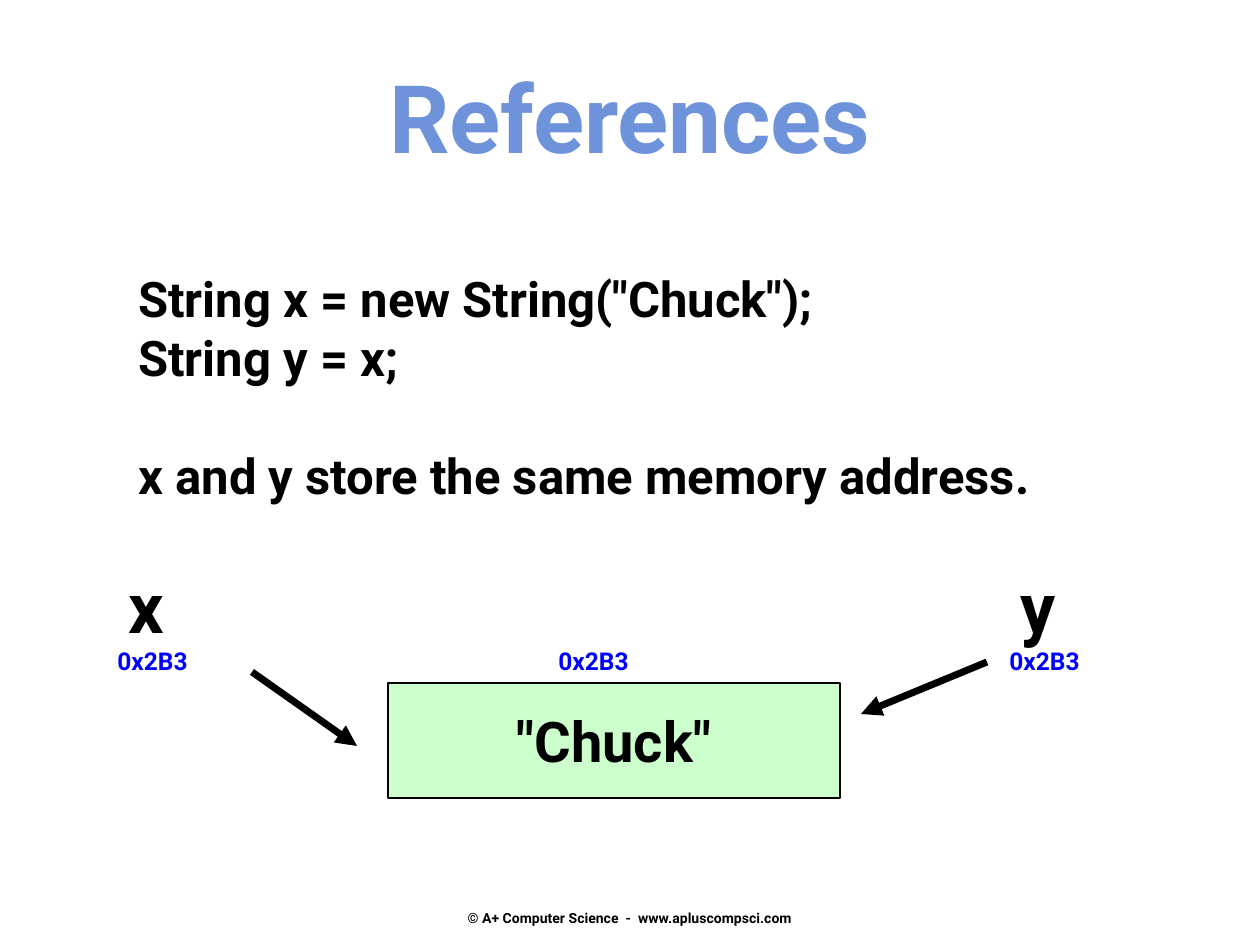
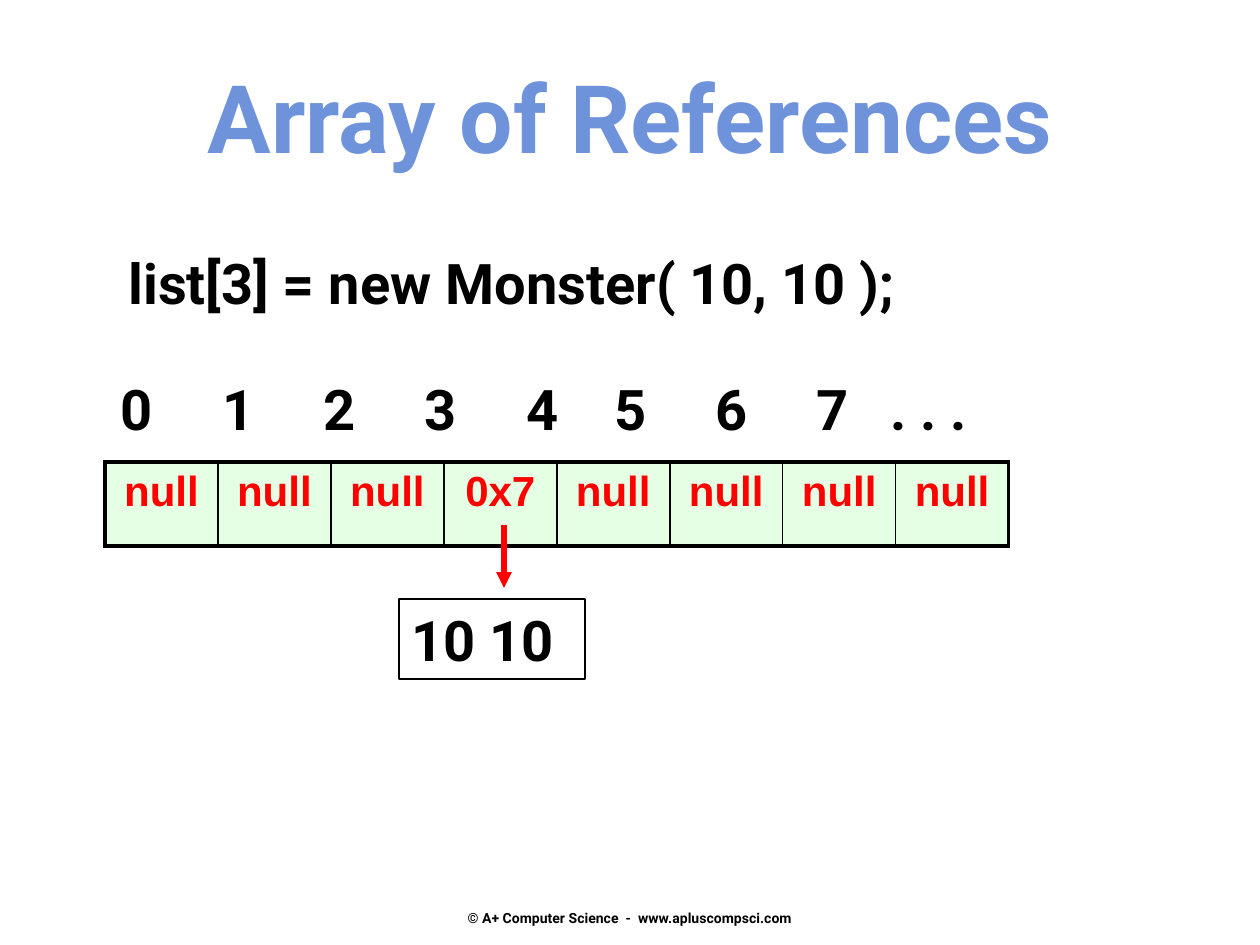
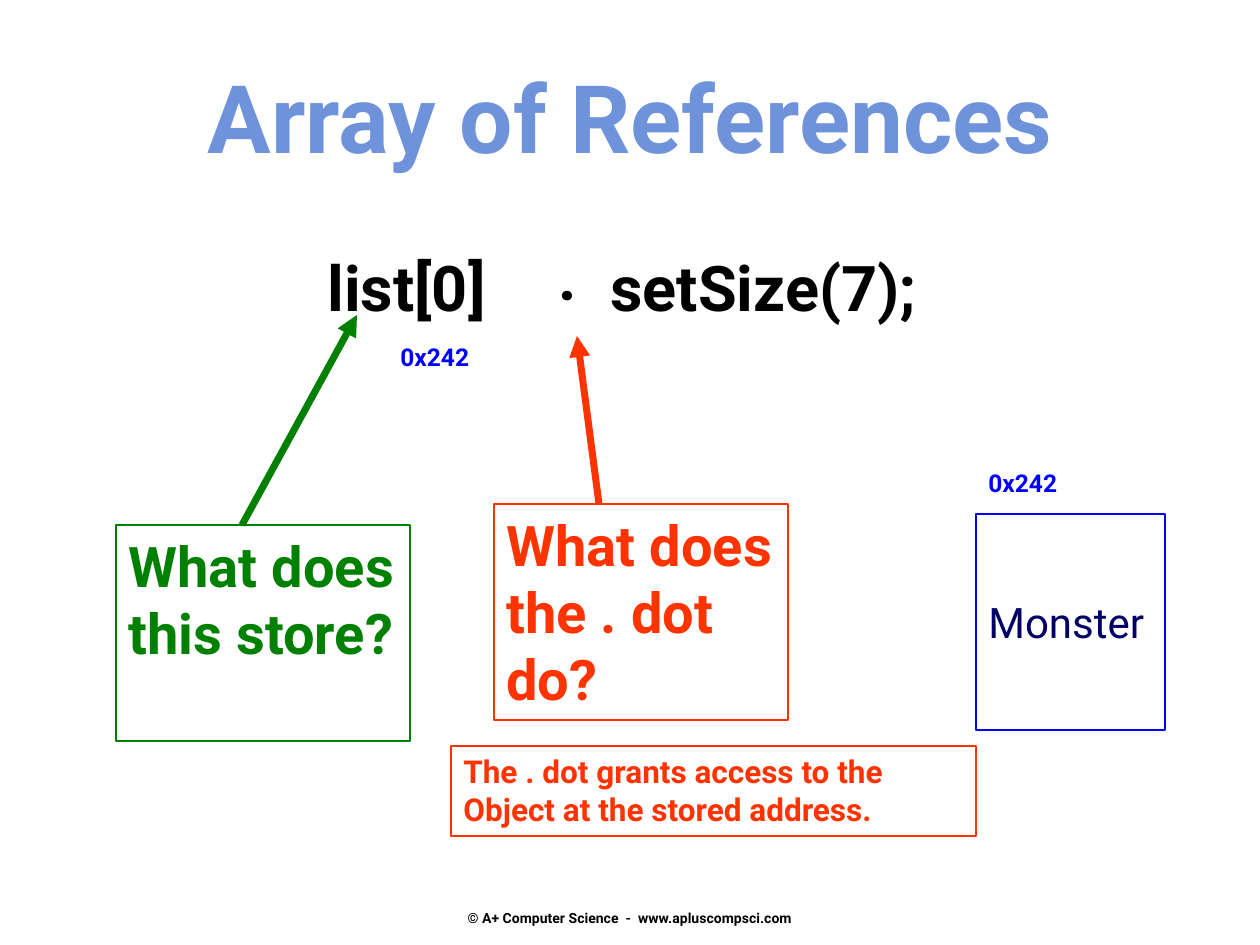
from lxml import etree
from pptx import Presentation
from pptx import util as u
from pptx.dml.color import RGBColor
from pptx.enum import shapes, text
from pptx.oxml import ns

PX = 914400 / 126
FONT = "Roboto"
COLORS = {
    "white": "FFFFFF", "title": "6F93DB", "black": "000000", "mint": "CCFFCC",
    "blue": "0000FF", "navy": "000066", "red": "FF0000", "orange": "FF3300",
    "green": "008000",
}
FOOTER = "© A+ Computer Science  -  www.apluscompsci.com"
LEFT, CENTER = text.PP_ALIGN.LEFT, text.PP_ALIGN.CENTER
TOP, MIDDLE = text.MSO_ANCHOR.TOP, text.MSO_ANCHOR.MIDDLE


def px(n):
    return u.Emu(round(n * PX))


def rgb(name):
    return RGBColor.from_string(COLORS[name])


def child(parent, tag, **attrs):
    return etree.SubElement(parent, ns.qn(tag), attrs)


def style(p, size, color, bold=True, font=FONT):
    for r in p.runs:
        f = r.font
        f.name, f.size, f.bold = font, u.Pt(size), bold
        f.color.rgb = rgb(color)


def write(sp, words, size, color, align=LEFT, anchor=TOP, bold=True):
    tf = sp.text_frame
    tf.word_wrap = True
    tf.vertical_anchor = anchor
    tf.text = words
    for p in tf.paragraphs:
        p.alignment = align
        style(p, size, color, bold)
    return tf


def label(s, box, words, size, color="black", **kw):
    return write(s.shapes.add_textbox(*map(px, box)), words, size, color, **kw)


def panel(s, box, words, size, color, line, fill=None, weight=1, **kw):
    sp = s.shapes.add_shape(shapes.MSO_SHAPE.RECTANGLE, *map(px, box))
    sp.shadow.inherit = False
    if fill:
        sp.fill.solid()
        sp.fill.fore_color.rgb = rgb(fill)
    else:
        sp.fill.background()
    sp.line.color.rgb = rgb(line)
    sp.line.width = u.Pt(weight)
    write(sp, words, size, color, **kw)


def arrow(s, start, end, color, weight=4):
    c = s.shapes.add_connector(shapes.MSO_CONNECTOR.STRAIGHT,
                               *map(px, start + end))
    c.line.color.rgb = rgb(color)
    c.line.width = u.Pt(weight)
    child(c.line._get_or_add_ln(), "a:tailEnd", type="triangle")
    child(c._element.spPr, "a:effectLst")


def address(s, x, y, words):
    label(s, (x, y, 116, 42), words, 14, "blue")


def new_slide(prs, title):
    s = prs.slides.add_slide(prs.slide_layouts[6])
    s.background.fill.solid()
    s.background.fill.fore_color.rgb = rgb("white")
    label(s, (0, 53, 1260, 127), title, 54, "title", align=CENTER)
    label(s, (430, 900, 400, 36), FOOTER, 8, align=CENTER, anchor=MIDDLE)
    return s


def variable(s, x, y, name, name_dx):
    label(s, (x + name_dx, y, 68, 97), name, 40)
    address(s, x, y + 83, "0x2B3")


def references_slide(prs):
    s = new_slide(prs, "References")
    tf = label(s, (126, 262, 1022, 248),
               'String x = new String("Chuck");\nString y = x;\n'
               "x and y store the same memory address.", 28)
    tf.paragraphs[2].space_before = u.Pt(34)
    variable(s, 105, 557, "x", 11)
    variable(s, 997, 557, "y", 11)
    address(s, 546, 640, "0x2B3")
    panel(s, (388, 683, 452, 115), '"Chuck"', 32, "black", "black", "mint",
          0.75, align=CENTER, anchor=MIDDLE)
    arrow(s, (252, 672), (357, 746), "black")
    arrow(s, (987, 662), (861, 714), "black")


def indexes(s, box, count, pitch):
    tf = label(s, box, "\t".join([*map(str, range(count)), ". . ."]), 32)
    stops = [round(pitch * i) - (14 if i > 4 else 0) for i in range(1, count)]
    tabs = child(tf.paragraphs[0]._p.get_or_add_pPr(), "a:tabLst")
    for stop in stops + [stops[-1] + 74]:
        child(tabs, "a:tab", pos=str(px(stop)), algn="l")


def border(tc_pr, index, side, weight):
    ln = etree.Element(ns.qn("a:ln" + side), w=str(u.Pt(weight)))
    child(child(ln, "a:solidFill"), "a:srgbClr", val=COLORS["black"])
    tc_pr.insert(index, ln)


def array_table(s, box, values):
    table = s.shapes.add_table(1, len(values), *map(px, box)).table
    table.first_row = table.horz_banding = False
    last = len(values) - 1
    for i, value in enumerate(values):
        table.columns[i].width = px(box[2] // len(values))
        cell = table.cell(0, i)
        cell.text = value
        p = cell.text_frame.paragraphs[0]
        p.alignment = CENTER
        style(p, 24, "red", font="Arial")
        cell.fill.solid()
        cell.fill.fore_color.rgb = rgb("mint")
        tc_pr = cell._tc.get_or_add_tcPr()
        child(tc_pr.find(".//" + ns.qn("a:srgbClr")), "a:alpha", val="50000")
        weights = {"L": 2.25 if i == 0 else 1, "R": 2.25 if i == last else 1,
                   "T": 2.25, "B": 2.25}
        for index, (side, weight) in enumerate(weights.items()):
            border(tc_pr, index, side, weight)


def array_slide(prs):
    s = new_slide(prs, "Array of References")
    label(s, (116, 242, 931, 81), "list[3] = new Monster( 10, 10 );", 32)
    indexes(s, (108, 368, 1026, 79), 8, 101.5)
    values = ["null"] * 8
    values[3] = "0x7"
    array_table(s, (105, 462, 904, 84), values)
    arrow(s, (504, 525), (504, 588), "red", 3)
    panel(s, (399, 599, 186, 80), "10 10", 32, "black", "black")


def question(s, x, y, words, color, start_dx, target):
    panel(s, (x, y, 294, 216), words, 32, color, color)
    arrow(s, (x + start_dx, y), target, color)


def call_parts(s, x, y):
    label(s, (x, y, 222, 89), "list[0]", 36)
    label(s, (x + 231, y - 11, 45, 88), ".", 36)
    label(s, (x + 283, y, 370, 88), "setSize(7);", 36)
    address(s, x + 73, y + 94, "0x242")


def monster(s, x, y):
    address(s, x, y, "0x242")
    panel(s, (x, y + 52, 189, 216), "Monster", 24, "navy", "blue",
          anchor=MIDDLE, bold=False)


def method_call_slide(prs):
    s = new_slide(prs, "Array of References")
    call_parts(s, 315, 242)
    question(s, 116, 525, "What does this store?", "green", 126, (357, 315))
    question(s, 494, 504, "What does the . dot do?", "orange", 105, (577, 336))
    monster(s, 976, 462)
    panel(s, (451, 746, 525, 90),
          "The . dot grants access to the Object at the stored address.",
          18, "orange", "orange")


def main():
    prs = Presentation()
    prs.slide_width, prs.slide_height = px(1260), px(945)
    references_slide(prs)
    array_slide(prs)
    method_call_slide(prs)
    prs.save("out.pptx")


if __name__ == "__main__":
    main()
